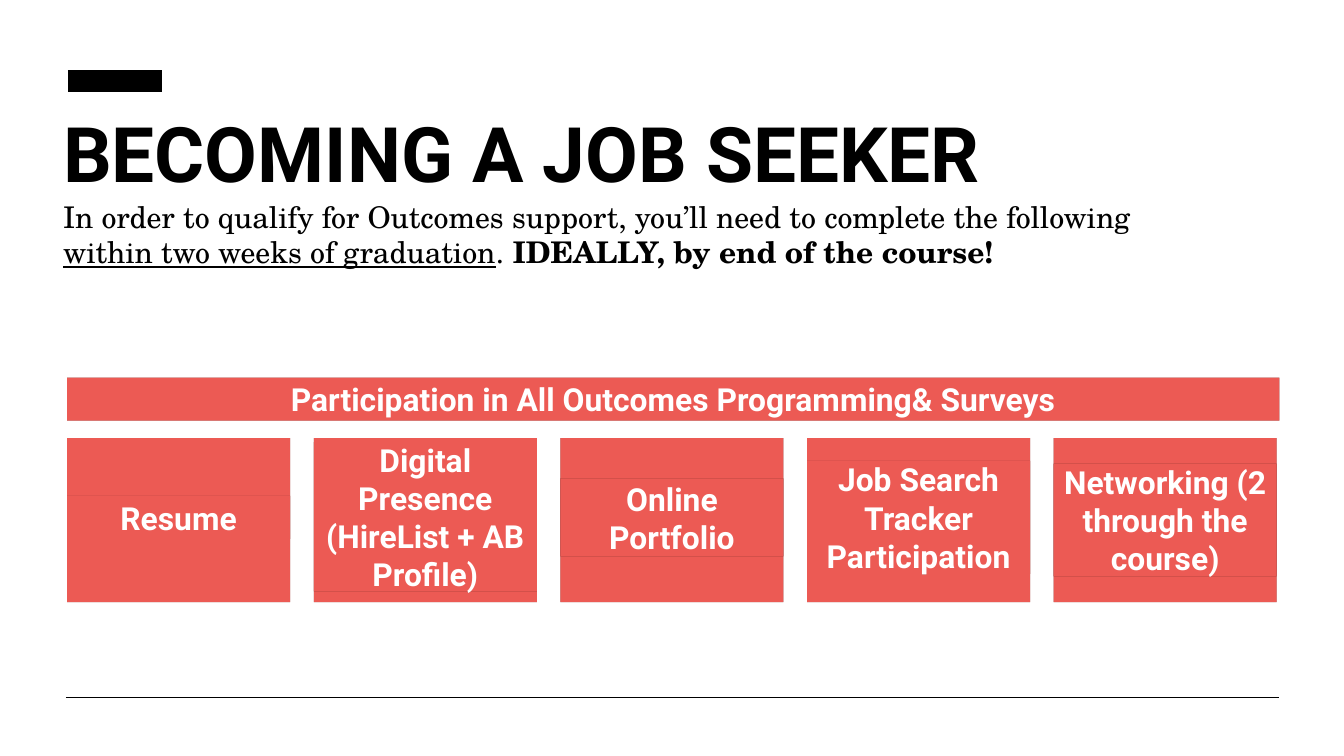
"""Build the "Becoming a job seeker" slide on a grid of tenth-inch cells."""
from dataclasses import dataclass

import lxml.etree
import pptx
import pptx.dml.color
import pptx.enum.shapes
import pptx.enum.text
import pptx.oxml.ns
import pptx.util


@dataclass(frozen=True)
class Theme:
    ink: str = "000000"
    card: str = "EC5A54"
    label: str = "FFFFFF"
    sans: str = "Roboto"
    serif: str = "TeX Gyre Schola"
    title_size: int = 41
    body_size: int = 16
    label_size: int = 17


class SlideBuilder:
    def __init__(self, deck, theme, columns, rows):
        self.theme = theme
        self.page = deck.slides.add_slide(deck.slide_layouts[6])
        self.column = deck.slide_width / columns
        self.row = deck.slide_height / rows

    def place(self, left, top, width, height):
        return (round(left * self.column), round(top * self.row),
                round(width * self.column), round(height * self.row))

    def effects(self, shape):
        return lxml.etree.SubElement(shape._element.spPr, pptx.oxml.ns.qn("a:effectLst"))

    def rule(self, left, right, y, weight):
        x1, y1, x2, y2 = self.place(left, y, right, y)
        line = self.page.shapes.add_connector(
            pptx.enum.shapes.MSO_CONNECTOR.STRAIGHT, x1, y1, x2, y2)
        line.line.color.rgb = pptx.dml.color.RGBColor.from_string(self.theme.ink)
        line.line.width = pptx.util.Pt(weight)
        self.effects(line)

    def frame(self, shape, inset):
        frame = shape.text_frame
        frame.word_wrap = True
        frame.vertical_anchor = pptx.enum.text.MSO_ANCHOR.MIDDLE
        frame.margin_left = frame.margin_right = pptx.util.Inches(inset)
        frame.margin_top = frame.margin_bottom = pptx.util.Inches(inset)
        return frame

    def style(self, para, name, size, color, bold):
        para.font.name = name
        para.font.size = pptx.util.Pt(size)
        para.font.color.rgb = pptx.dml.color.RGBColor.from_string(color)
        para.font.bold = bold

    def heading(self, area, title, spans):
        box = self.page.shapes.add_textbox(*self.place(*area))
        frame = self.frame(box, 0.04)
        theme = self.theme
        para = frame.paragraphs[0]
        para.text = title
        self.style(para, theme.sans, theme.title_size, theme.ink, True)
        para = frame.add_paragraph()
        self.style(para, theme.serif, theme.body_size, theme.ink, False)
        for text, underline, bold in spans:
            span = para.add_run()
            span.text = text
            span.font.underline = underline
            span.font.bold = bold

    def block(self, area, lines=()):
        box = self.page.shapes.add_shape(
            pptx.enum.shapes.MSO_SHAPE.RECTANGLE, *self.place(*area))
        box.fill.solid()
        box.fill.fore_color.rgb = pptx.dml.color.RGBColor.from_string(self.theme.card)
        box.line.fill.background()
        qn = pptx.oxml.ns.qn
        shadow = lxml.etree.SubElement(self.effects(box), qn("a:outerShdw"))
        color = lxml.etree.SubElement(shadow, qn("a:srgbClr"), val=self.theme.ink)
        lxml.etree.SubElement(color, qn("a:alpha"), val="45000")
        frame = self.frame(box, 0.03)
        for index, line in enumerate(lines):
            para = frame.add_paragraph() if index else frame.paragraphs[0]
            para.text = line
            para.alignment = pptx.enum.text.PP_ALIGN.CENTER
            self.style(para, self.theme.sans, self.theme.label_size, self.theme.label, True)


def main():
    deck = pptx.Presentation()
    deck.slide_width = pptx.util.Inches(10)
    deck.slide_height = deck.slide_width * 9 // 16
    slide = SlideBuilder(deck, Theme(), columns=100, rows=56.25)

    slide.rule(5.05, 12.05, 6.05, weight=12)
    slide.rule(4.9, 95.2, 51.9, weight=1)
    slide.heading((4.3, 8.1, 86.3, 11.8), "BECOMING A JOB SEEKER", [
        ("In order to qualify for Outcomes support, you’ll need to complete the following ",
         False, False),
        ("within two weeks of graduation", True, False),
        (".", False, False),
        (" IDEALLY, by end of the course!", False, True),
    ])

    slide.block((5, 28.1, 90.2, 3.2), ["Participation in All Outcomes Programming& Surveys"])
    left, pitch, width = 5, 18.35, 16.6
    cards = [
        (36.9, 3.2, ["Resume"]),
        (32.9, 11.1, ["Digital Presence (HireList + AB Profile)"]),
        (35.6, 5.8, ["Online", "Portfolio"]),
        (34.3, 8.4, ["Job Search Tracker Participation"]),
        (34.5, 8.4, ["Networking (2 through the course)"]),
    ]
    for index, (label_top, label_height, lines) in enumerate(cards):
        x = left + index * pitch
        slide.block((x, 32.6, width, 12.2))
        slide.block((x, label_top, width, label_height), lines)

    deck.save("out.pptx")


if __name__ == "__main__":
    main()
